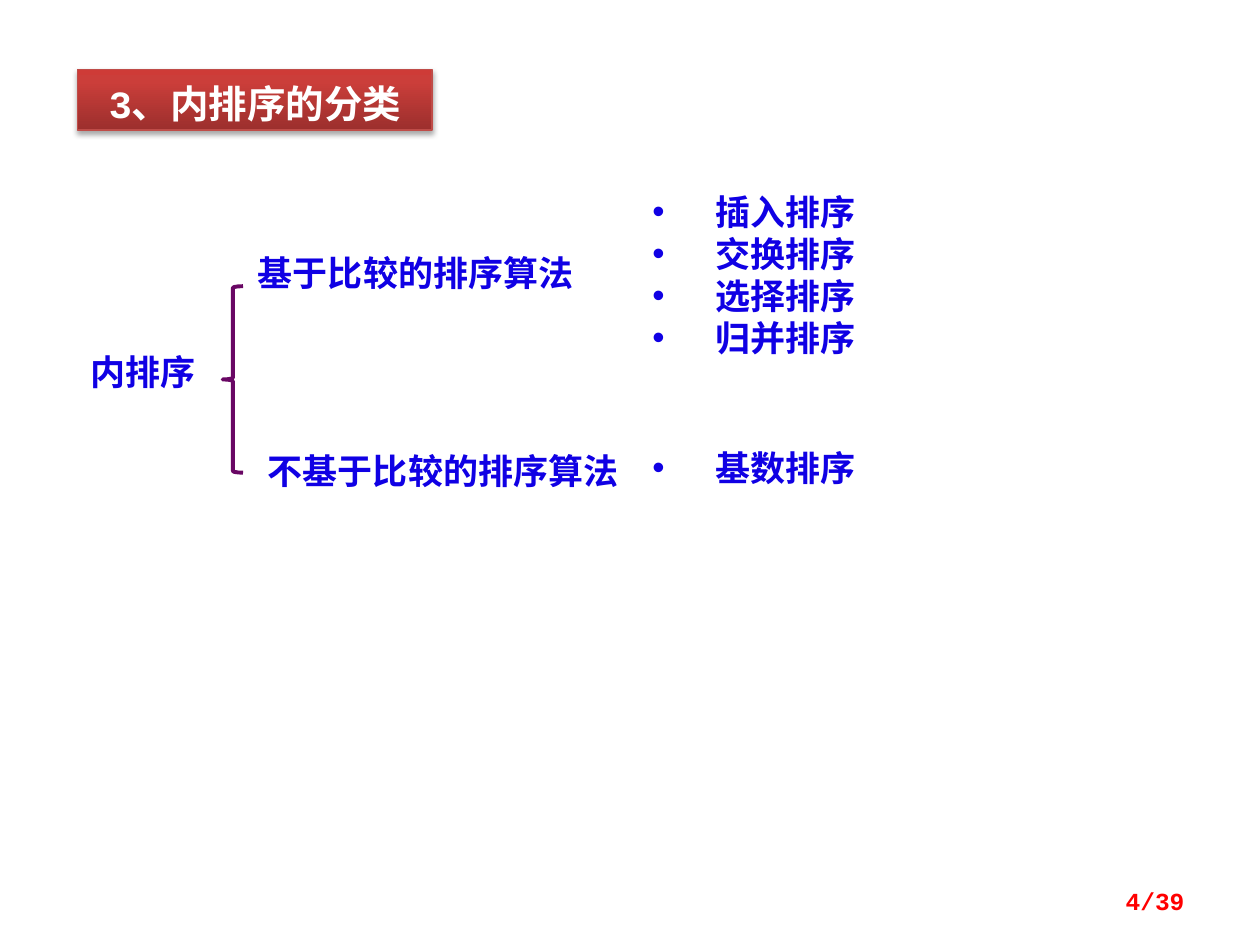
from copy import deepcopy

from lxml import etree
from pptx import Presentation
from pptx.dml.color import RGBColor
from pptx.enum.shapes import MSO_SHAPE
from pptx.enum.text import MSO_ANCHOR, PP_ALIGN
from pptx.oxml import parse_xml
from pptx.oxml.ns import nsdecls, qn
from pptx.util import Cm, Pt

RECTANGLE, LEFT_BRACE = MSO_SHAPE.RECTANGLE, MSO_SHAPE.LEFT_BRACE
TOP, MIDDLE = MSO_ANCHOR.TOP, MSO_ANCHOR.MIDDLE
LEFT, CENTER, RIGHT = PP_ALIGN.LEFT, PP_ALIGN.CENTER, PP_ALIGN.RIGHT

COLORS = {
    "title_text": "FFFFFF", "title_line": "BF4C48",
    "tree_text": "1000E4", "brace": "690764", "page": "FF0000",
}
TITLE_GRADIENT = [(0, "9C2F2D"), (0.8, "CB3E3A"), (1, "CE3B37")]
CJK, SERIF, MONO = "Noto Sans CJK SC", "Times New Roman", "Courier New"
LINE_HEIGHT = 1.12
INDENT = Cm(1.27)


def rgb(name):
    return RGBColor.from_string(COLORS[name])


def write_lines(shape, lines, font, size, color, align=LEFT, anchor=TOP,
                spacing=None, bulleted=False):
    frame = shape.text_frame
    frame.word_wrap = True
    frame.vertical_anchor = anchor
    font_format = {"name": font, "size": Pt(size), "bold": True}
    for index, line in enumerate(lines):
        paragraph = frame.paragraphs[0] if index == 0 else frame.add_paragraph()
        paragraph.alignment = align
        paragraph.line_spacing = spacing
        if bulleted:
            add_bullet(paragraph)
        run = paragraph.add_run()
        run.text = line
        for name, value in font_format.items():
            setattr(run.font, name, value)
        run.font.color.rgb = rgb(color)
        east_asian = etree.SubElement(run.font._element, qn("a:ea"))
        east_asian.set("typeface", CJK)
        run.font._element.find(qn("a:latin")).addnext(east_asian)


def add_bullet(paragraph):
    properties = paragraph._p.get_or_add_pPr()
    properties.set("marL", str(INDENT))
    properties.set("indent", str(-INDENT))
    bullet_font = etree.SubElement(properties, qn("a:buFont"))
    bullet_font.set("typeface", "Arial")
    etree.SubElement(properties, qn("a:buChar")).set("char", "•")


def add_text(slide, left, top, width, height, lines, **text_format):
    box = slide.shapes.add_textbox(Cm(left), Cm(top), Cm(width), Cm(height))
    write_lines(box, lines, **text_format)


def add_title(slide, left, top, width, height):
    banner = slide.shapes.add_shape(RECTANGLE, Cm(left), Cm(top), Cm(width), Cm(height))
    banner.fill.gradient()
    banner.fill.gradient_angle = 90
    stop_list = banner._element.spPr.find(".//" + qn("a:gsLst"))
    stop_list.append(deepcopy(stop_list[-1]))
    for stop, (position, color) in zip(banner.fill.gradient_stops, TITLE_GRADIENT):
        stop.position = position
        stop.color.rgb = RGBColor.from_string(color)
    banner.line.color.rgb = rgb("title_line")
    banner.line.width = Pt(0.75)
    banner.shadow.inherit = False
    banner._element.spPr.find(qn("a:effectLst")).append(parse_xml(
        f'<a:outerShdw {nsdecls("a")} blurRad="{Pt(3.1)}" dist="{Pt(1.8)}" '
        'dir="5400000" rotWithShape="0"><a:srgbClr val="000000">'
        '<a:alpha val="35000"/></a:srgbClr></a:outerShdw>'))
    write_lines(banner, ["3、内排序的分类"], MONO, 22, "title_text",
                align=CENTER, spacing=1.1)


def add_classification(slide, left, top):
    """Draw the root, its brace, the two branches and their bulleted methods."""
    label = {"size": 20, "color": "tree_text"}
    add_text(slide, left, top + 3.23, 3.38, LINE_HEIGHT, ["内排序"], font=CJK, **label)

    branches = [
        (3.38, 1.24, 7.95, "基于比较的排序算法"),
        (3.58, 5.23, 8.33, "不基于比较的排序算法"),
    ]
    for x, y, width, name in branches:
        add_text(slide, left + x, top + y, width, LINE_HEIGHT, [name],
                 font=SERIF, **label)

    method_lists = [
        (0, 3.68, ["插入排序", "交换排序", "选择排序", "归并排序"]),
        (5.16, LINE_HEIGHT, ["基数排序"]),
    ]
    for y, height, methods in method_lists:
        add_text(slide, left + 11.33, top + y, 5.1, height, methods,
                 font=CJK, bulleted=True, **label)

    brace = slide.shapes.add_shape(LEFT_BRACE, Cm(left + 2.92), Cm(top + 2.06),
                                   Cm(0.41), Cm(3.76))
    brace.shadow.inherit = False
    brace.fill.background()
    brace.line.color.rgb = rgb("brace")
    brace.line.width = Pt(2.25)


def add_page_number(slide, left, top, width, height):
    add_text(slide, left, top, width, height, ["4/39"], font=MONO, size=14,
             color="page", align=RIGHT, anchor=MIDDLE)


def main():
    presentation = Presentation()
    presentation.slide_width, presentation.slide_height = Cm(25.4), Cm(19.05)
    slide = presentation.slides.add_slide(presentation.slide_layouts[6])
    add_title(slide, 1.57, 1.4, 7.14, 1.22)
    add_classification(slide, 1.57, 3.71)
    add_page_number(slide, 18.21, 17.65, 5.92, 1.02)
    presentation.save("out.pptx")


if __name__ == "__main__":
    main()
